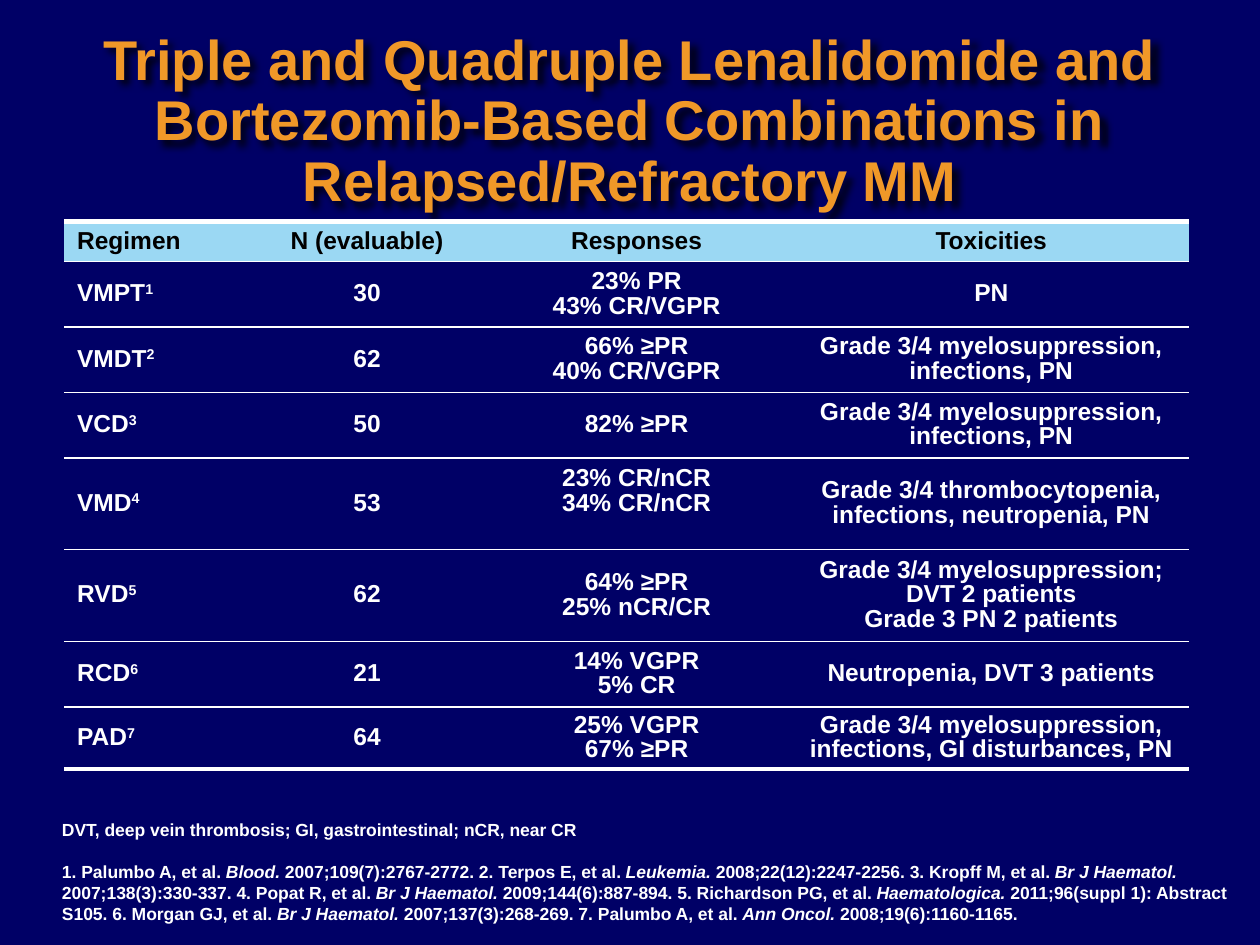
from lxml.etree import SubElement
from pptx import Presentation
from pptx.dml.color import RGBColor
from pptx.enum.text import MSO_ANCHOR as Anchor, PP_ALIGN as Align
from pptx.oxml import parse_xml
from pptx.oxml.ns import nsdecls, qn
from pptx.util import Cm, Pt

WHITE = "FFFFFF"
TITLE = ("Triple and Quadruple Lenalidomide and Bortezomib-Based "
         "Combinations in Relapsed/Refractory MM")
HEADINGS = ["Regimen", "N (evaluable)", "Responses", "Toxicities"]
REGIMENS = [
    ("VMPT", "30", "23% PR\n43% CR/VGPR", "PN"),
    ("VMDT", "62", "66% ≥PR\n40% CR/VGPR", "Grade 3/4 myelosuppression, infections, PN"),
    ("VCD", "50", "82% ≥PR", "Grade 3/4 myelosuppression, infections, PN"),
    ("VMD", "53", "23% CR/nCR\n34% CR/nCR",
     "Grade 3/4 thrombocytopenia, infections, neutropenia, PN"),
    ("RVD", "62", "64% ≥PR\n25% nCR/CR",
     "Grade 3/4 myelosuppression;\nDVT 2 patients\nGrade 3 PN 2 patients"),
    ("RCD", "21", "14% VGPR\n5% CR", "Neutropenia, DVT 3 patients"),
    ("PAD", "64", "25% VGPR\n67% ≥PR",
     "Grade 3/4 myelosuppression, infections, GI disturbances, PN"),
]
COLUMN_WIDTHS = [3.84, 4.52, 6.35, 7.95]
ROW_HEIGHTS = [0.8, 1.32, 1.32, 1.32, 1.85, 1.85, 1.32, 1.12]
ABBREVIATIONS = "DVT, deep vein thrombosis; GI, gastrointestinal; nCR, near CR"
CITATIONS = [
    ("1. Palumbo A, et al. ", "Blood. ", "2007;109(7):2767-2772. "),
    ("2. Terpos E, et al. ", "Leukemia.", " 2008;22(12):2247-2256. "),
    ("3. Kropff M, et al. ", "Br J Haematol.", " 2007;138(3):330-337. "),
    ("4. Popat R, et al. ", "Br J Haematol. ", "2009;144(6):887-894. "),
    ("5. Richardson PG, et al. ", "Haematologica. ", "2011;96(suppl 1): Abstract S105. "),
    ("6. Morgan GJ, et al. ", "Br J Haematol. ", "2007;137(3):268-269. "),
    ("7. Palumbo A, et al. ", "Ann Oncol. ", "2008;19(6):1160-1165."),
]


def color(value):
    """Return the colour for a hex string."""
    return RGBColor.from_string(value)


def format_text(paragraph, size, value, align=Align.LEFT, spacing=None):
    """Set the bold Arial look and the layout of a paragraph."""
    paragraph.alignment = align
    paragraph.line_spacing = spacing
    font = paragraph.font
    font.name, font.size, font.bold = "Arial", Pt(size), True
    font.color.rgb = color(value)


def set_borders(cell, top, bottom):
    """Rule a cell above and below, with open sides."""
    properties = cell._tc.get_or_add_tcPr()
    for side, width in (("L", 0), ("R", 0), ("T", top), ("B", bottom)):
        line = SubElement(properties, qn(f"a:ln{side}"), w=str(Pt(width)))
        if width:
            fill = SubElement(line, qn("a:solidFill"))
            SubElement(fill, qn("a:srgbClr"), val=WHITE)
        else:
            SubElement(line, qn("a:noFill"))


def add_title(slide):
    """Fill the title placeholder and give its text a soft shadow."""
    title = slide.shapes.title
    title.left, title.top, title.width, title.height = Cm(0), Cm(1.3), Cm(25.4), Cm(2.34)
    frame = title.text_frame
    frame.text = TITLE
    frame.word_wrap = True
    frame.vertical_anchor = Anchor.MIDDLE
    format_text(frame.paragraphs[0], 32, "F09828", Align.CENTER, 0.9)
    title._element.spPr.append(parse_xml(
        f'<a:effectLst {nsdecls("a")}><a:outerShdw blurRad="50800" dist="50800" '
        'dir="2700000"><a:srgbClr val="000000"><a:alpha val="80000"/></a:srgbClr>'
        '</a:outerShdw></a:effectLst>'))


def fill_cell(cell, text, value, align, note=None):
    """Write a cell, with an optional superscript reference number."""
    cell.text = text
    cell.vertical_anchor = Anchor.MIDDLE
    if note:
        reference = cell.text_frame.paragraphs[0].add_run()
        reference.text = str(note)
        reference.font._element.set("baseline", "30000")
    for paragraph in cell.text_frame.paragraphs:
        format_text(paragraph, 14, value, align, 0.9)


def add_regimen_table(slide):
    """Add the table of regimens, responses and toxicities."""
    rows = [HEADINGS, *REGIMENS]
    table = slide.shapes.add_table(
        len(rows), len(HEADINGS), Cm(1.3), Cm(4.47),
        Cm(sum(COLUMN_WIDTHS)), Cm(sum(ROW_HEIGHTS))).table
    table.first_row = table.horz_banding = False
    for column, width in zip(table.columns, COLUMN_WIDTHS):
        column.width = Cm(width)
    for row, height in zip(table.rows, ROW_HEIGHTS):
        row.height = Cm(height)
    last = len(rows) - 1
    for r, texts in enumerate(rows):
        for c, text in enumerate(texts):
            cell = table.cell(r, c)
            set_borders(cell, 3 if r == 0 else 1, 3 if r == last else 1)
            fill_cell(cell, text, WHITE if r else "000000",
                      Align.CENTER if c else Align.LEFT, r if c == 0 else None)
            if r:
                cell.fill.background()
            else:
                cell.fill.solid()
                cell.fill.fore_color.rgb = color("9BD8F3")
            if texts[0] == "VMD" and c == 2:
                cell.margin_bottom = Cm(0.63)


def add_references(slide):
    """Add the abbreviations and the numbered citations."""
    frame = slide.shapes.add_textbox(Cm(1), Cm(16.38), Cm(24.38), Cm(2.39)).text_frame
    frame.word_wrap = True
    abbreviations = frame.paragraphs[0]
    abbreviations.text = ABBREVIATIONS
    citations = frame.add_paragraph()
    citations.space_before = Pt(12)
    for authors, journal, issue in CITATIONS:
        for text, italic in ((authors, False), (journal, True), (issue, False)):
            run = citations.add_run()
            run.text = text
            run.font.italic = italic
    for paragraph in (abbreviations, citations):
        format_text(paragraph, 10, WHITE)


def main():
    """Build the slide and save it."""
    deck = Presentation()
    deck.slide_width, deck.slide_height = Cm(25.4), Cm(19.05)
    slide = deck.slides.add_slide(deck.slide_layouts[5])
    slide.background.fill.solid()
    slide.background.fill.fore_color.rgb = color("000066")
    add_title(slide)
    add_regimen_table(slide)
    add_references(slide)
    deck.save("out.pptx")


if __name__ == "__main__":
    main()
